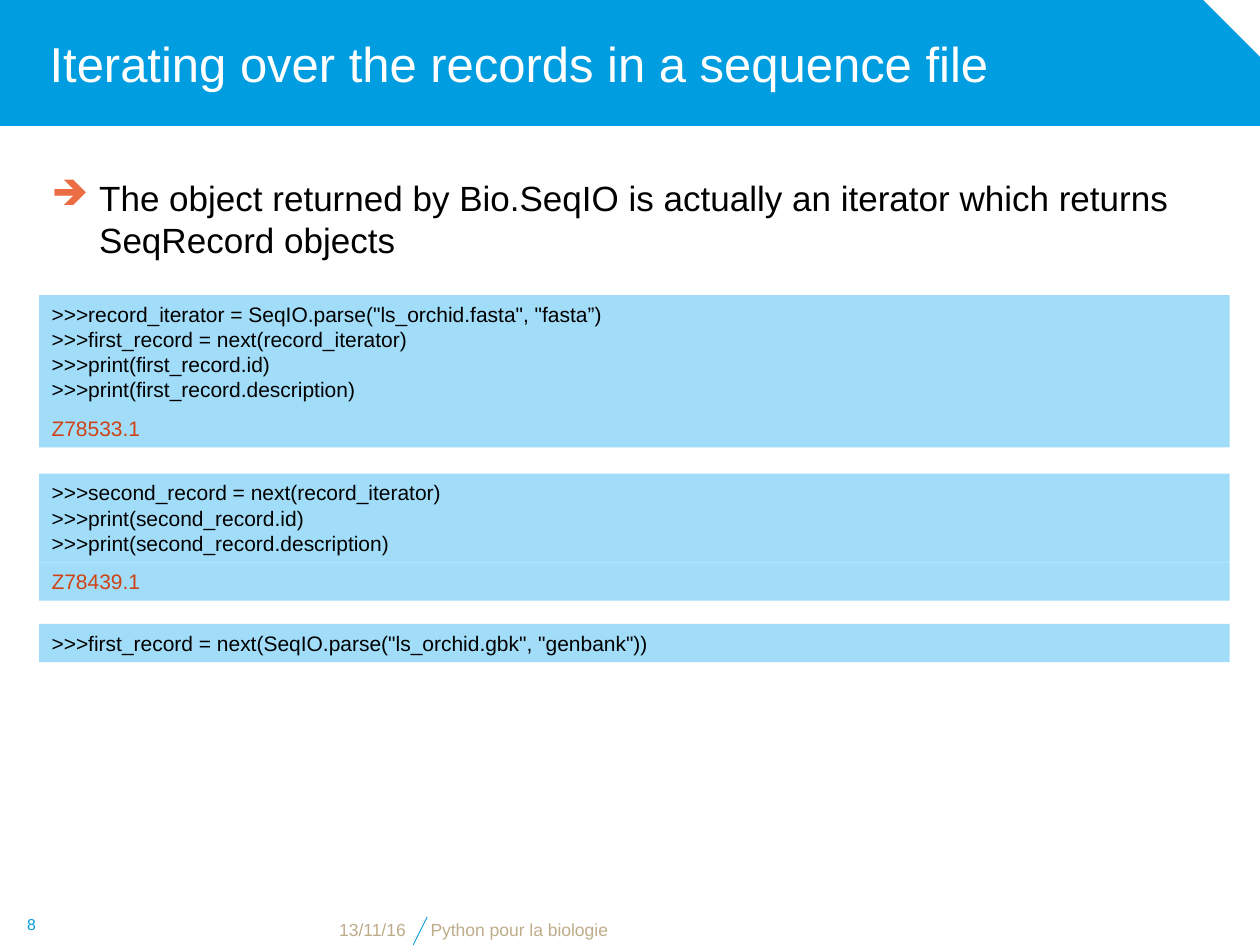
from dataclasses import dataclass

from lxml.etree import SubElement
from pptx import Presentation
from pptx.dml.color import RGBColor
from pptx.enum.shapes import MSO_CONNECTOR, MSO_SHAPE
from pptx.enum.text import MSO_ANCHOR, MSO_AUTO_SIZE, PP_ALIGN
from pptx.oxml.ns import qn
from pptx.util import Cm, Pt

# Content
TITLE = "Iterating over the records in a sequence file"
BULLET = "➔"
STATEMENT = ("The object returned by Bio.SeqIO is actually an iterator "
             "which returns SeqRecord objects")
# Each example: top in cm, code lines, output lines
EXAMPLES = [
    (5.95, ['>>>record_iterator = SeqIO.parse("ls_orchid.fasta", "fasta”)',
            ">>>first_record = next(record_iterator)",
            ">>>print(first_record.id)",
            ">>>print(first_record.description)"], ["Z78533.1"]),
    (9.55, [">>>second_record = next(record_iterator)",
            ">>>print(second_record.id)",
            ">>>print(second_record.description)"], ["Z78439.1"]),
    (12.58, ['>>>first_record = next(SeqIO.parse("ls_orchid.gbk", "genbank"))'], []),
]
DATE, COURSE, PAGE_NUMBER = "13/11/16", "Python pour la biologie", "8"


@dataclass(frozen=True)
class Theme:
    font: str = "Arial"
    blue: str = "009DE0"
    pale_blue: str = "A1DDF9"
    orange: str = "EC6C43"
    red: str = "CE4215"
    sand: str = "BEAD8A"
    black: str = "000000"
    white: str = "FFFFFF"
    title_size: int = 28
    body_size: int = 20
    code_size: int = 12
    footer_size: int = 10
    number_size: int = 9


THEME = Theme()
LEFT, WIDTH = 0.79, 24.0
LINE_HEIGHT, PADDING = 0.51, 0.26


def write(box, lines, size, color, align=PP_ALIGN.LEFT, anchor=MSO_ANCHOR.TOP):
    frame = box.text_frame
    frame.word_wrap = True
    frame.auto_size = MSO_AUTO_SIZE.NONE
    frame.vertical_anchor = anchor
    frame.text = "\n".join(lines)
    for para in frame.paragraphs:
        para.alignment = align
        para.font.name = THEME.font
        para.font.size = Pt(size)
        para.font.color.rgb = RGBColor.from_string(color)
    return frame


def add_panel(page, kind, place, color):
    panel = page.shapes.add_shape(kind, *map(Cm, place))
    panel.shadow.inherit = False
    panel.fill.solid()
    panel.fill.fore_color.rgb = RGBColor.from_string(color)
    panel.line.fill.background()
    return panel


def add_code(page, top, lines, color):
    height = len(lines) * LINE_HEIGHT + PADDING
    panel = add_panel(page, MSO_SHAPE.RECTANGLE, (LEFT, top, WIDTH, height),
                      THEME.pale_blue)
    frame = write(panel, lines, THEME.code_size, color)
    frame.auto_size = MSO_AUTO_SIZE.SHAPE_TO_FIT_TEXT
    return top + height


def add_header(page):
    banner = add_panel(page, MSO_SHAPE.SNIP_1_RECTANGLE, (0, 0, 25.42, 2.54), THEME.blue)
    banner.adjustments[0] = 0.46
    page.shapes._spTree.insert(2, banner._element)  # behind the title
    title = page.shapes.title
    title.left, title.top, title.width, title.height = map(Cm, (0, 0, 24.13, 2.54))
    frame = write(title, [TITLE], THEME.title_size, THEME.white, anchor=MSO_ANCHOR.MIDDLE)
    frame.margin_left = Cm(1)


def add_statement(page):
    box = page.shapes.add_textbox(*map(Cm, (LEFT, 3.43, WIDTH, 1.93)))
    para = write(box, [STATEMENT], THEME.body_size, THEME.black).paragraphs[0]
    para.space_before = Pt(4)
    properties = para._p.get_or_add_pPr()
    properties.set("marL", str(Cm(0.96)))
    properties.set("indent", str(-Cm(0.96)))
    bullet_color = SubElement(properties, qn("a:buClr"))
    SubElement(bullet_color, qn("a:srgbClr"), val=THEME.orange)
    SubElement(properties, qn("a:buChar"), char=BULLET)


def add_footer(page):
    slash = page.shapes.add_connector(MSO_CONNECTOR.STRAIGHT,
                                      *map(Cm, (8.33, 19.05, 8.61, 18.49)))
    slash.line.color.rgb = RGBColor.from_string(THEME.blue)
    slash.line.width = Pt(0.5)
    SubElement(slash._element.spPr, qn("a:effectLst"))
    parts = [
        (DATE, (2.51, 18.49, 5.92, 0.58), THEME.footer_size, THEME.sand,
         PP_ALIGN.RIGHT, MSO_ANCHOR.BOTTOM),
        (COURSE, (8.43, 18.49, 14.6, 0.58), THEME.footer_size, THEME.sand,
         PP_ALIGN.LEFT, MSO_ANCHOR.BOTTOM),
        (PAGE_NUMBER, (0, 18.21, 1.27, 0.84), THEME.number_size, THEME.blue,
         PP_ALIGN.CENTER, MSO_ANCHOR.MIDDLE),
    ]
    for text, place, size, color, align, anchor in parts:
        box = page.shapes.add_textbox(*map(Cm, place))
        write(box, [text], size, color, align, anchor)


def main():
    deck = Presentation()
    deck.slide_width, deck.slide_height = Cm(25.4), Cm(19.05)
    page = deck.slides.add_slide(deck.slide_layouts[5])
    add_header(page)
    add_statement(page)
    # Output sits directly under its code
    for top, code, output in EXAMPLES:
        bottom = add_code(page, top, code, THEME.black)
        if output:
            add_code(page, bottom, output, THEME.red)
    add_footer(page)
    deck.save("out.pptx")


if __name__ == "__main__":
    main()
